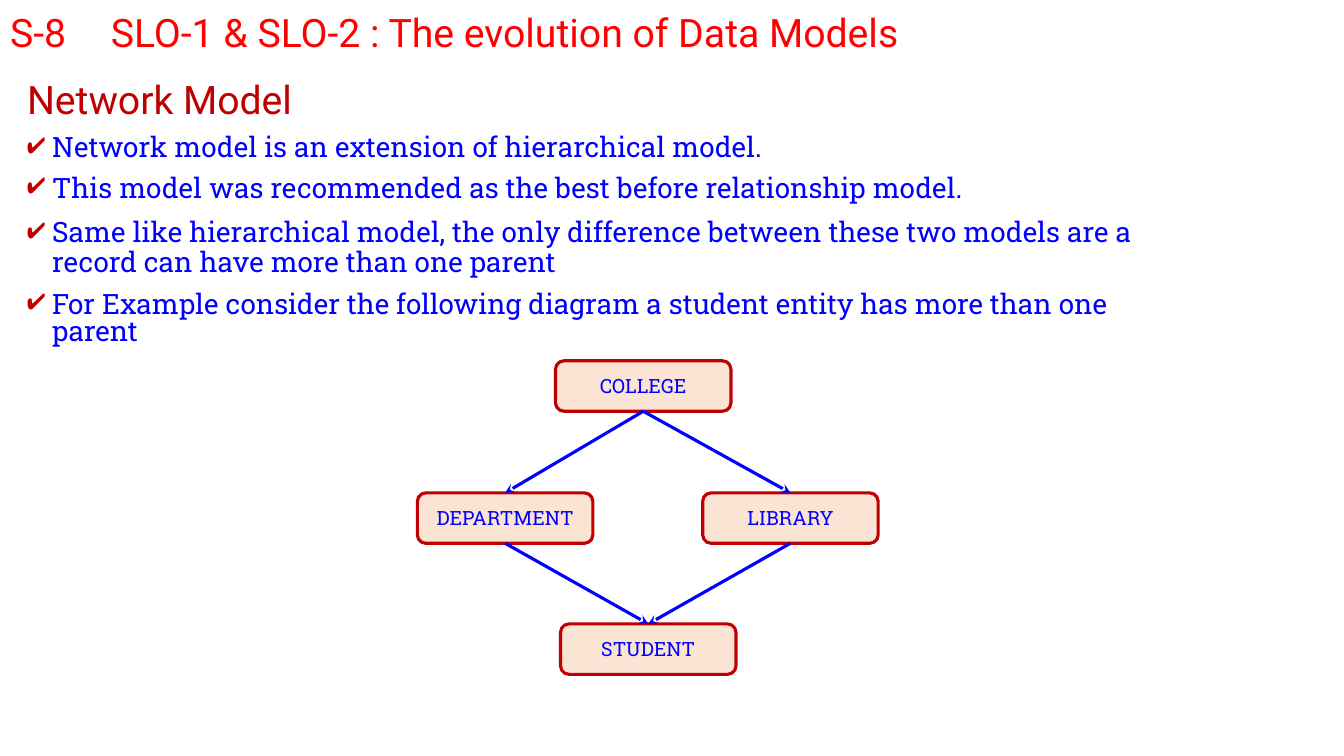
import dataclasses

import pptx
import pptx.dml.color
import pptx.enum.shapes
import pptx.enum.text
import pptx.oxml.ns
import pptx.presentation
import pptx.shapes.autoshape
import pptx.slide
import pptx.text.text
import pptx.util
from lxml import etree

Inches = pptx.util.Inches
Pt = pptx.util.Pt
RGBColor = pptx.dml.color.RGBColor
Align = pptx.enum.text.PP_ALIGN
Anchor = pptx.enum.text.MSO_ANCHOR
qn = pptx.oxml.ns.qn

RED = RGBColor(0xFF, 0x00, 0x00)
CRIMSON = RGBColor(0xC0, 0x00, 0x00)
BLUE = RGBColor(0x00, 0x00, 0xFF)
PEACH = RGBColor(0xFB, 0xE4, 0xD4)
SANS = "Roboto"
SLAB = "Roboto Slab"
BOX_W, BOX_H = 1.74, 0.5
LINE_W = Pt(2.25)


@dataclasses.dataclass(frozen=True)
class Point:
    text: str
    space: float = 0.8


@dataclasses.dataclass(frozen=True)
class Node:
    name: str
    left: float
    top: float


@dataclasses.dataclass(frozen=True)
class Link:
    start: str
    end: str


HEAD = "Network Model"
POINTS = [
    Point("Network model is an extension of hierarchical model."),
    Point("This model was recommended as the best before relationship model."),
    Point("Same like hierarchical model, the only difference between these two "
          "models are a record can have more than one parent", 0.9),
    Point("For Example consider the following diagram a student entity has "
          "more than one parent"),
]
NODES = [
    Node("COLLEGE", 5.51, 3.58),
    Node("STUDENT", 5.56, 6.19),
    Node("DEPARTMENT", 4.14, 4.89),
    Node("LIBRARY", 6.97, 4.89),
]
LINKS = [
    Link("COLLEGE", "DEPARTMENT"),
    Link("COLLEGE", "LIBRARY"),
    Link("DEPARTMENT", "STUDENT"),
    Link("LIBRARY", "STUDENT"),
]


def style(para: pptx.text.text._Paragraph, size: float, face: str,
          color: RGBColor) -> None:
    for run in para.runs:
        run.font.size = Pt(size)
        run.font.name = face
        run.font.color.rgb = color


def add_title(slide: pptx.slide.Slide) -> None:
    title = slide.shapes.title
    title.left, title.top = Inches(0), Inches(0.03)
    title.width, title.height = Inches(12), Inches(0.57)
    frame = title.text_frame
    frame.text = "S-8\tSLO-1 & SLO-2 : The evolution of Data Models"
    frame.auto_size = pptx.enum.text.MSO_AUTO_SIZE.NONE
    frame.vertical_anchor = Anchor.TOP
    para = frame.paragraphs[0]
    para.alignment = Align.LEFT
    style(para, 28, SANS, RED)


def add_tick(para: pptx.text.text._Paragraph) -> None:
    props = para._p.get_or_add_pPr()
    props.set("marL", str(Inches(0.25)))
    props.set("indent", str(-Inches(0.25)))
    tint = etree.SubElement(props, qn("a:buClr"))
    etree.SubElement(tint, qn("a:srgbClr"), val=str(CRIMSON))
    etree.SubElement(props, qn("a:buChar"), char="✔")


def add_body(slide: pptx.slide.Slide) -> None:
    box = slide.shapes.add_textbox(
        Inches(0.17), Inches(0.79), Inches(11.5), Inches(2.82))
    frame = box.text_frame
    frame.word_wrap = True
    head = frame.paragraphs[0]
    head.text = HEAD
    head.line_spacing = 0.8
    style(head, 28, SANS, CRIMSON)
    for point in POINTS:
        para = frame.add_paragraph()
        para.text = point.text
        add_tick(para)
        para.line_spacing = point.space
        para.space_before = Pt(10)
        style(para, 20, SLAB, BLUE)


def add_node(slide: pptx.slide.Slide,
             node: Node) -> pptx.shapes.autoshape.Shape:
    box = slide.shapes.add_shape(
        pptx.enum.shapes.MSO_SHAPE.ROUNDED_RECTANGLE,
        Inches(node.left), Inches(node.top), Inches(BOX_W), Inches(BOX_H))
    box.shadow.inherit = False
    box.fill.solid()
    box.fill.fore_color.rgb = PEACH
    box.line.color.rgb = CRIMSON
    box.line.width = LINE_W
    frame = box.text_frame
    frame.text = node.name
    frame.vertical_anchor = Anchor.MIDDLE
    para = frame.paragraphs[0]
    para.alignment = Align.CENTER
    style(para, 14, SLAB, BLUE)
    return box


def add_link(slide: pptx.slide.Slide, start: pptx.shapes.autoshape.Shape,
             end: pptx.shapes.autoshape.Shape) -> None:
    line = slide.shapes.add_connector(
        pptx.enum.shapes.MSO_CONNECTOR.STRAIGHT, 0, 0, 0, 0)
    # Site 2 is the bottom centre, site 0 the top centre
    line.begin_connect(start, 2)
    line.end_connect(end, 0)
    line.line.color.rgb = BLUE
    line.line.width = LINE_W
    etree.SubElement(line.line._get_or_add_ln(), qn("a:tailEnd"),
                     type="stealth")
    etree.SubElement(line._element.spPr, qn("a:effectLst"))


def main() -> None:
    deck = pptx.Presentation()
    deck.slide_width, deck.slide_height = Inches(13.33), Inches(7.5)
    slide = deck.slides.add_slide(deck.slide_layouts[5])

    # Title and bullet text
    add_title(slide)
    add_body(slide)

    # Network diagram
    boxes = {node.name: add_node(slide, node) for node in NODES}
    for link in LINKS:
        add_link(slide, boxes[link.start], boxes[link.end])

    deck.save("out.pptx")


if __name__ == "__main__":
    main()
